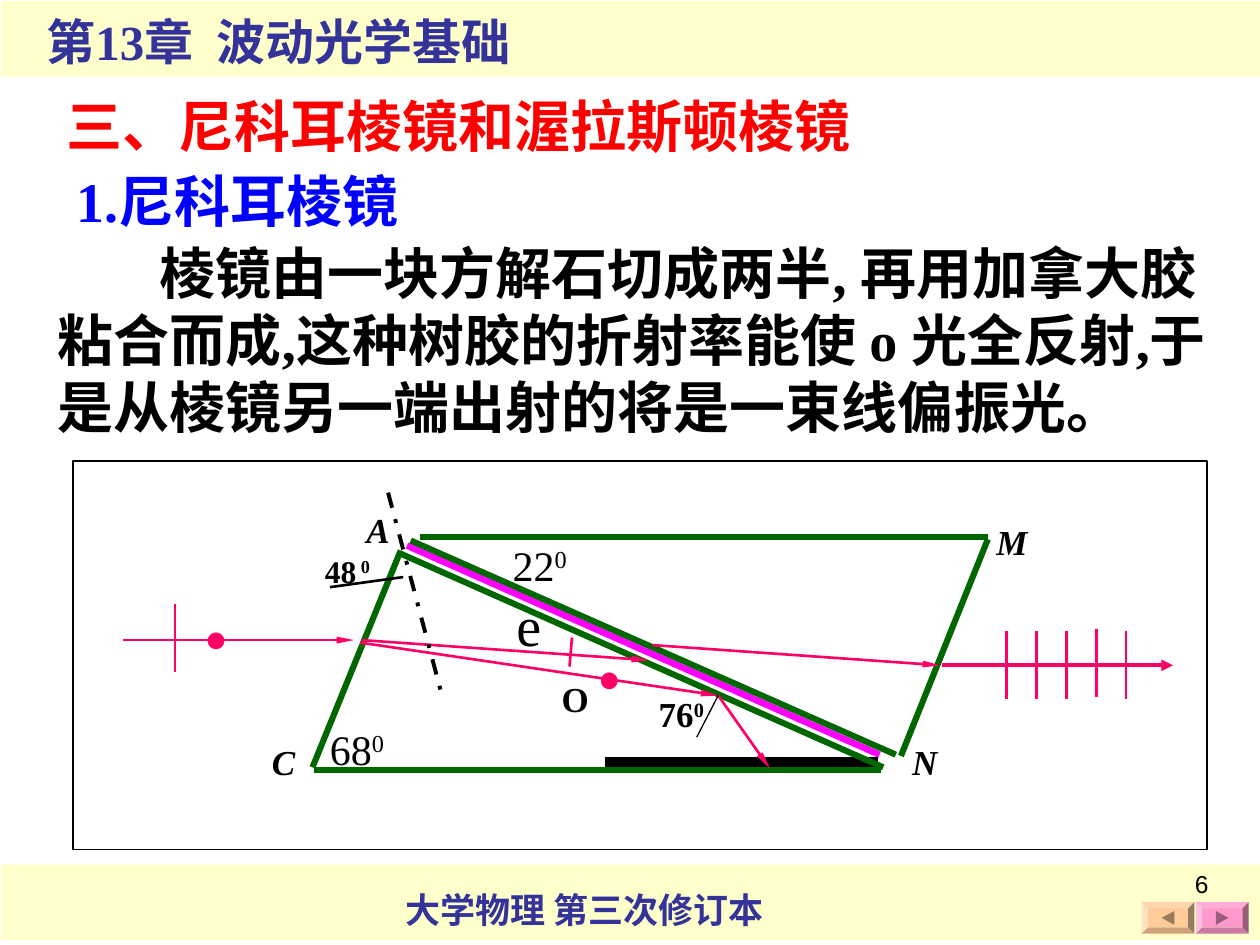
from lxml.etree import SubElement
from pptx import Presentation
from pptx.dml.color import RGBColor
from pptx.enum.dml import MSO_LINE_DASH_STYLE as Dash
from pptx.enum.shapes import MSO_CONNECTOR as Connector, MSO_SHAPE as Preset
from pptx.enum.text import MSO_AUTO_SIZE as AutoSize, PP_ALIGN as Align
from pptx.oxml.ns import qn
from pptx.util import Inches, Pt

COLUMNS, ROWS = 100, 75
WIDTH, HEIGHT = Inches(10), Inches(7.5)
BLACK, WHITE, CREAM, NAVY = "000000", "FFFFFF", "FFFFCC", "333399"
RAY, CRYSTAL, GLUE = "FF0066", "006600", "FF00FF"
SERIF = "Times New Roman"


def across(columns):
    """Turn grid columns into a length."""
    return round(WIDTH * columns / COLUMNS)


def down(rows):
    """Turn grid rows into a length."""
    return round(HEIGHT * rows / ROWS)


def place(left, top, width, height):
    """Turn a grid rectangle into lengths."""
    return across(left), down(top), across(width), down(height)


def colour(value):
    """Read a hex colour."""
    return RGBColor.from_string(value)


def paint(shape, fill, outline=None):
    """Give a shape a flat fill and an optional thin outline."""
    shape.shadow.inherit = False
    shape.fill.solid()
    shape.fill.fore_color.rgb = colour(fill)
    if outline:
        shape.line.color.rgb = colour(outline)
        shape.line.width = Pt(0.75)
    else:
        shape.line.fill.background()


def add_panel(page, area, fill, outline=None, preset=Preset.RECTANGLE):
    """Add a filled preset shape."""
    panel = page.shapes.add_shape(preset, *place(*area))
    paint(panel, fill, outline)
    return panel


def add_text(page, area, runs, size, tint=BLACK, bold=True, italic=False,
             font=SERIF, wrap=False, align=None, indent=0, grow=True):
    """Add one paragraph of (text, run attributes) pairs."""
    box = page.shapes.add_textbox(*place(*area))
    frame = box.text_frame
    frame.word_wrap = wrap
    frame.auto_size = AutoSize.SHAPE_TO_FIT_TEXT if grow else AutoSize.NONE
    para = frame.paragraphs[0]
    para.alignment = align
    if indent:
        para._p.get_or_add_pPr().set("indent", str(across(indent)))
    for text, attributes in runs:
        span = para.add_run()
        span.text = text
        span.font.name, span.font.size = font, Pt(size)
        span.font.bold, span.font.italic = bold, italic
        span.font.color.rgb = colour(tint)
        for name, value in attributes.items():
            span._r.get_or_add_rPr().set(name, value)


def add_label(page, area, text, size, **style):
    """Add a text of a single run."""
    add_text(page, area, [(text, {})], size, **style)


def add_angle(page, area, degrees, size, mark="0", **style):
    """Add an angle with a raised degree mark."""
    add_text(page, area, [(degrees, {}), (mark, {"baseline": "30000"})], size, **style)


def add_line(page, start, end, tint=RAY, weight=1.5, head=None, dash=None):
    """Add a straight line; head is the arrow's (width, length)."""
    line = page.shapes.add_connector(
        Connector.STRAIGHT, across(start[0]), down(start[1]), across(end[0]), down(end[1]))
    line.line.color.rgb = colour(tint)
    line.line.width = Pt(weight)
    if dash:
        line.line.dash_style = dash
    if head:
        SubElement(line.line._get_or_add_ln(), qn("a:tailEnd"),
                   type="triangle", w=head[0], len=head[1])
    SubElement(line._element.spPr, qn("a:effectLst"))


def add_button(page, left, fill, mark, forward):
    """Add a bevelled button with a triangle that points along the deck."""
    bevel = add_panel(page, (left, 71.6, 4.2, 2.5), fill, preset=Preset.BEVEL)
    bevel.adjustments[0] = 0.2
    base, tip = (left + 1.6, left + 2.6) if forward else (left + 2.6, left + 1.6)
    outline = page.shapes.build_freeform(across(base), down(72.3))
    outline.add_line_segments([(across(tip), down(72.85)), (across(base), down(73.4))])
    paint(outline.convert_to_shape(), mark)


def add_frame(page):
    """Add the bands, running titles and buttons."""
    for top in (68.6, 0.1):
        add_panel(page, (0.1, top, 99.9, 6), CREAM)
    add_label(page, (31.2, 70, 31.2, 4.4), "大学物理 第三次修订本", 20, tint=NAVY)
    add_text(page, (2.7, 0.4, 44.6, 5.7),
             [("第13章", {}), (" ", {"spc": "700"}), ("波动光学基础", {})], 28, tint=NAVY)
    add_button(page, 94.9, "FF99CC", "995C7A", True)
    add_button(page, 90.6, "FFCC99", "997A5C", False)


def add_prose(page):
    """Add the headings and the paragraph."""
    add_label(page, (4.3, 6.8, 64.3, 6.4), "三、尼科耳棱镜和渥拉斯顿棱镜", 32, tint="FF0000")
    add_label(page, (2.7, 12.7, 32.3, 6.4), "1.尼科耳棱镜", 32, tint="0000FF",
              wrap=True, align=Align.CENTER)
    add_label(page, (3.6, 18.4, 96.4, 17),
              "棱镜由一块方解石切成两半, 再用加拿大胶粘合而成,这种树胶的折射率能使 o 光全反射,"
              "于是从棱镜另一端出射的将是一束线偏振光。", 32, wrap=True, indent=8.1)


def add_rays(page):
    """Add the light rays with their polarisation marks."""
    slim = ("sm", "lg")
    rays = [((9.8, 50.8), (28.1, 50.8)), ((28.6, 51), (57, 55.2)),
            ((28.7, 50.8), (51.5, 52.4)), ((57, 55.2), (61.1, 61)),
            ((51.8, 51.2), (74.6, 52.8))]
    for start, end in rays:
        add_line(page, start, end, head=slim)
    add_line(page, (74.8, 52.8), (93.1, 52.8), weight=2.25, head=("med", "med"))
    add_line(page, (13.9, 47.9), (13.9, 53.3))
    add_line(page, (45.4, 50.6), (45.2, 52.9))
    for index in range(5):
        column, top = 79.9 + 2.37 * index, 49.9 if index == 3 else 50.1
        add_line(page, (column, top), (column, top + 5.4))
    for left, top in ((15.2, 46.7), (46.4, 49.9)):
        add_label(page, (left, top, 3.9, 7.7), "•", 40, tint=RAY, bold=False)


def add_prism(page):
    """Add the two crystal halves, the glue and the dark coating."""
    add_line(page, (32.3, 43.3), (69.8, 59.9), GLUE, 3.75)
    add_line(page, (48, 60.5), (69.7, 60.5), BLACK, 6)
    edges = [((71.1, 59.9), (32.6, 42.9)), ((78.4, 42.6), (33.3, 42.6)),
             ((71.5, 60), (78.4, 42.8)), ((24.9, 61.1), (69.9, 61.1)),
             ((31.8, 43.7), (24.8, 60.9)), ((31.7, 43.9), (70.1, 60.9))]
    for start, end in edges:
        add_line(page, start, end, CRYSTAL, 3.5)


def add_names(page):
    """Add corner letters, ray names, angles and their guide lines."""
    corners = [("A", 28.1, 39.9, 3.8), ("C", 20.6, 58.3, 3.8),
               ("N", 71.4, 58.3, 4), ("M", 78.1, 40.8, 4.5)]
    for letter, left, top, width in corners:
        add_label(page, (left, top, width, 4.4), letter, 20, italic=True)
    add_label(page, (40, 46.4, 4, 6.4), "e", 32, bold=False)
    add_label(page, (43.6, 53.3, 4.1, 4.4), "O", 20)
    add_angle(page, (51.3, 54.5, 5.6, 4.4), "76", 20)
    add_angle(page, (39.7, 42.3, 6.3, 5), "22", 24, bold=False)
    add_angle(page, (25.2, 56.9, 6.3, 5), "68", 24, bold=False)
    add_angle(page, (24.8, 43.3, 8.5, 4), "48", 18, mark=" 0", wrap=True)
    add_line(page, (57, 55.2), (55.3, 58.5), BLACK, 0.75)
    add_line(page, (30.8, 39.1), (35, 54.9), BLACK, 2.25, dash=Dash.DASH_DOT)
    add_line(page, (26.2, 46.6), (32, 45.8), BLACK)


def main():
    """Build and save the slide."""
    deck = Presentation()
    deck.slide_width, deck.slide_height = WIDTH, HEIGHT
    page = deck.slides.add_slide(deck.slide_layouts[6])
    add_frame(page)
    add_prose(page)
    add_panel(page, (5.8, 36.6, 90, 30.8), WHITE, BLACK)
    add_prism(page)
    add_rays(page)
    add_names(page)
    add_label(page, (73.6, 68.5, 23.3, 5.2), "6", 14, bold=False, font="Arial",
              wrap=True, align=Align.RIGHT, grow=False)
    deck.save("out.pptx")


if __name__ == "__main__":
    main()
